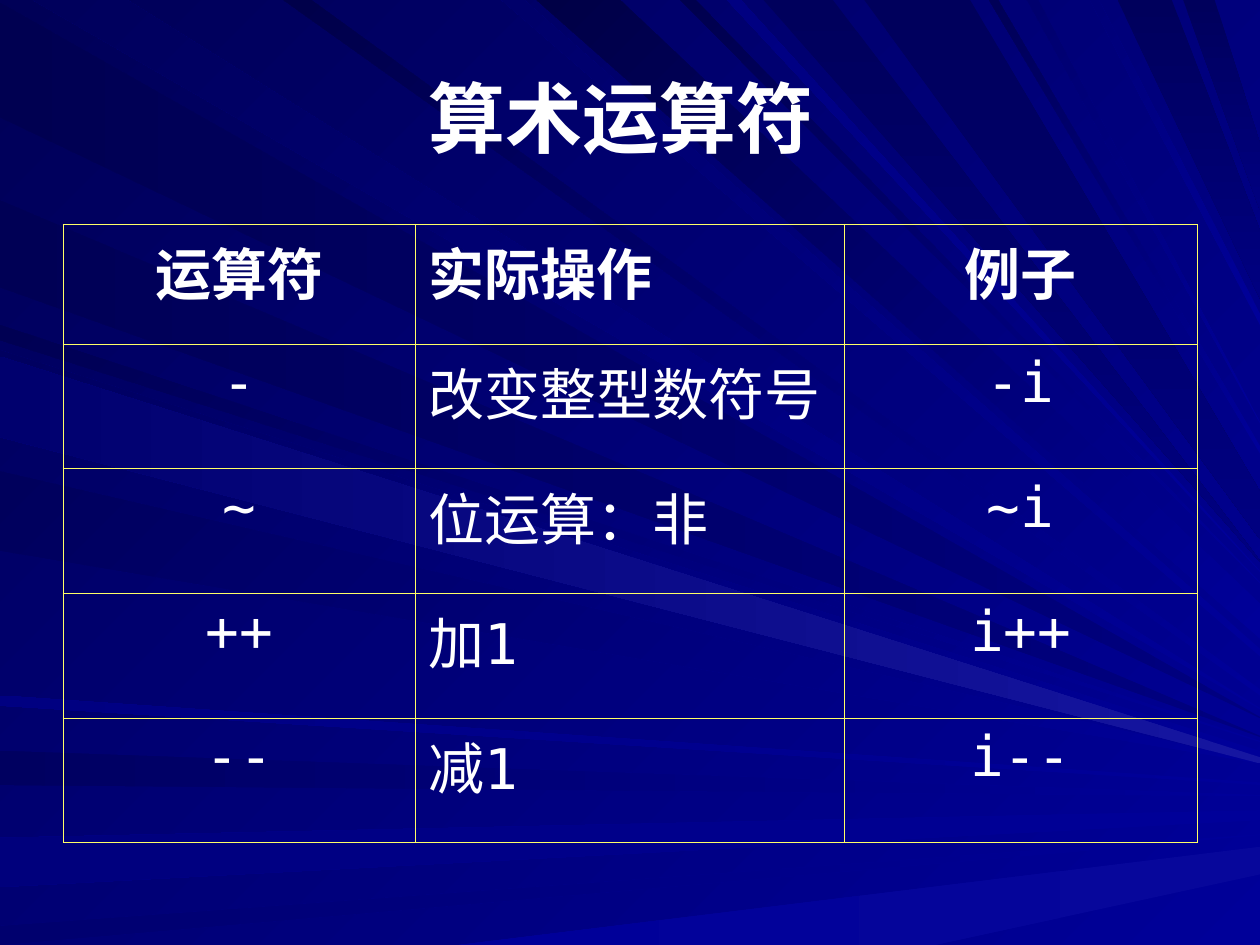
from typing import NamedTuple

from lxml import etree
from pptx import Presentation
from pptx import util as u
from pptx.dml import color
from pptx.enum import lang, text
from pptx.oxml import ns

UNIT = u.Inches(0.01)
WIDE, HIGH = 1000, 750
WHITE, GOLD = "FFFFFF", "FFFF66"
NAVY, BLUE, DARK = "000080", "000099", "000057"
MID = text.PP_ALIGN.CENTER
LEFT = text.PP_ALIGN.LEFT
CHINA = lang.MSO_LANGUAGE_ID.SIMPLIFIED_CHINESE
HEAD = {"name": "Arial", "size": u.Pt(44), "bold": True, "language_id": CHINA}
BODY = {"name": "DejaVu Sans Mono", "size": u.Pt(32), "language_id": CHINA}
INSET = {
    "margin_left": 10 * UNIT,
    "margin_right": 10 * UNIT,
    "margin_top": 5 * UNIT,
    "margin_bottom": 5 * UNIT,
}


class Fan(NamedTuple):
    edge: str
    turn: int
    near: str


class Ray(NamedTuple):
    fan: Fan
    far: str
    start: int
    width: int
    tip: int
    thick: int = 1


class Col(NamedTuple):
    width: int
    align: text.PP_ALIGN
    words: list[str]


FLAT = Fan("left", 180, BLUE)
DIM = Fan("left", 180, NAVY)
GLOW = Fan("left", 180, "1616A1")
SLANT = Fan("left", 225, BLUE)
FALL = Fan("top", 225, BLUE)
DEEP = Fan("top", 90, "00005C")
RISE = Fan("base", 180, "07079B")

RAYS = [
    Ray(DIM, "000051", 2, 91, 569),
    Ray(FALL, "00005C", 26, 75, 562),
    Ray(FLAT, "000060", 596, 27, 631),
    Ray(FLAT, "00007C", 665, 39, 643, 8),
    Ray(FLAT, "00006E", 735, 15, 662),
    Ray(RISE, BLUE, 364, 378, 672, 22),
    Ray(SLANT, "000053", 258, 12, 588),
    Ray(DIM, "000055", 159, 69, 584),
    Ray(FALL, "00006A", 398, 18, 515, 6),
    Ray(FALL, "000046", 426, 66, 479, 28),
    Ray(FALL, "00004E", 540, 12, 462),
    Ray(DEEP, NAVY, 606, 55, 445),
    Ray(DEEP, NAVY, 887, 43, 183, 54),
    Ray(DEEP, NAVY, 939, 25, 114, 53),
    Ray(SLANT, "000060", 278, 64, 596, 6),
    Ray(SLANT, "00005C", 374, 63, 605),
    Ray(FLAT, "000081", 552, 8, 621, 2),
    Ray(FALL, "00004A", 225, 22, 547, 5),
    Ray(FALL, "000081", 577, 11, 453),
    Ray(DEEP, NAVY, 686, 84, 390, 38),
    Ray(FALL, DARK, 785, 7, 354, 6),
    Ray(FALL, "00006E", 815, 9, 335),
    Ray(FALL, "000078", 865, 7, 249, 9),
    Ray(GLOW, "00006E", 283, 64, 601, 5),
]
COLS = [
    Col(280, MID, ["运算符", "-", "~", "++", "--"]),
    Col(340, LEFT, ["实际操作", "改变整型数符号", "位运算：非", "加1", "减1"]),
    Col(280, MID, ["例子", "-i", "~i", "i++", "i--"]),
]
ROWS = [95] + [99] * 4


def tint(code: str) -> color.RGBColor:
    return color.RGBColor.from_string(code)


def put(item, form: dict) -> None:
    for key, value in form.items():
        setattr(item, key, value)


def blend(fill, near: str, far: str, turn: int) -> None:
    fill.gradient()
    fill.gradient_angle = (360 - turn) % 360
    for stop, code in zip(fill.gradient_stops, (near, far)):
        stop.color.rgb = tint(code)


def spot(edge: str, along: int) -> tuple[int, int]:
    return {"left": (0, along), "top": (along, 0), "base": (along, HIGH)}[edge]


def beam(page, ray: Ray) -> None:
    fan = ray.fan
    first = spot(fan.edge, ray.start)
    last = spot(fan.edge, ray.start + ray.width)
    ends = [(WIDE, ray.tip), (WIDE, ray.tip + ray.thick)]
    if fan.edge == "top":
        ends.reverse()
    pen = page.shapes.build_freeform(*first, scale=UNIT)
    pen.add_line_segments([*ends, last], close=True)
    shape = pen.convert_to_shape()
    shape.shadow.inherit = False
    shape.line.fill.background()
    blend(shape.fill, fan.near, ray.far, fan.turn)


def write(para, words: str, align, form: dict) -> None:
    para.alignment = align
    run = para.add_run()
    run.text = words
    put(run.font, form)
    run.font.color.rgb = tint(WHITE)


def title(page, words: str) -> None:
    box = page.shapes.add_textbox(50 * UNIT, 30 * UNIT, 900 * UNIT, 125 * UNIT)
    frame = box.text_frame
    put(frame, INSET | {"word_wrap": True, "vertical_anchor": text.MSO_ANCHOR.MIDDLE})
    write(frame.paragraphs[0], words, MID, HEAD)


def rule(cell) -> None:
    props = cell._tc.get_or_add_tcPr()
    for place, side in enumerate("LRTB"):
        line = etree.Element(ns.qn(f"a:ln{side}"), w=str(u.Pt(0.45)))
        fill = etree.SubElement(line, ns.qn("a:solidFill"))
        etree.SubElement(fill, ns.qn("a:srgbClr"), val=GOLD)
        props.insert(place, line)


def grid(page, cols: list[Col], rows: list[int]) -> None:
    wide = sum(col.width for col in cols)
    area = [50 * UNIT, 178 * UNIT, wide * UNIT, sum(rows) * UNIT]
    table = page.shapes.add_table(len(rows), len(cols), *area).table
    put(table, {"first_row": False, "horz_banding": False})
    for row, high in zip(table.rows, rows):
        row.height = high * UNIT
    for x, col in enumerate(cols):
        table.columns[x].width = col.width * UNIT
        for y, words in enumerate(col.words):
            cell = table.cell(y, x)
            put(cell, INSET)
            cell.fill.background()
            rule(cell)
            para = cell.text_frame.paragraphs[0]
            write(para, words, col.align, BODY | {"bold": y == 0})
            props = para._p.get_or_add_pPr()
            props.set("marL", str(38 * UNIT))
            props.set("indent", str(-38 * UNIT))


def main() -> None:
    deck = Presentation()
    put(deck, {"slide_width": WIDE * UNIT, "slide_height": HIGH * UNIT})
    page = deck.slides.add_slide(deck.slide_layouts[6])
    blend(page.background.fill, BLUE, DARK, 225)
    for ray in RAYS:
        beam(page, ray)
    title(page, "算术运算符 ")
    grid(page, COLS, ROWS)
    deck.save("out.pptx")


if __name__ == "__main__":
    main()
